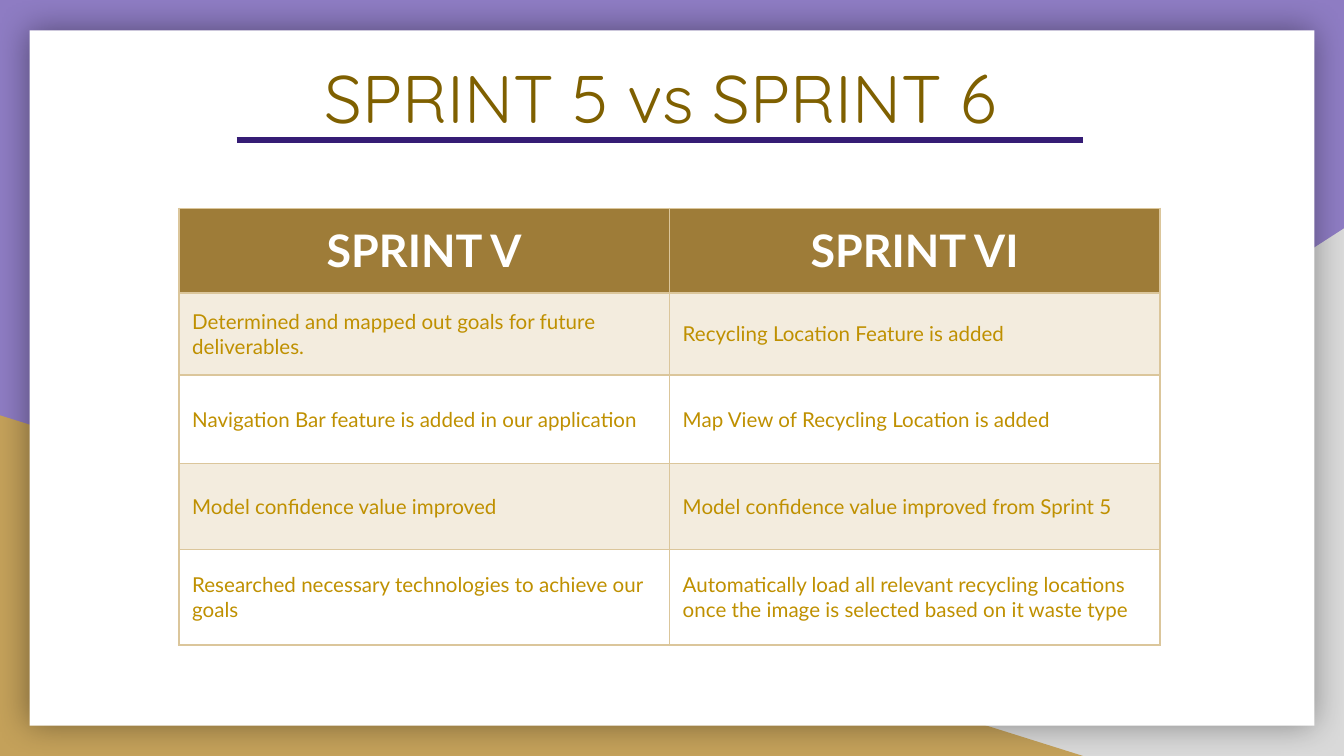
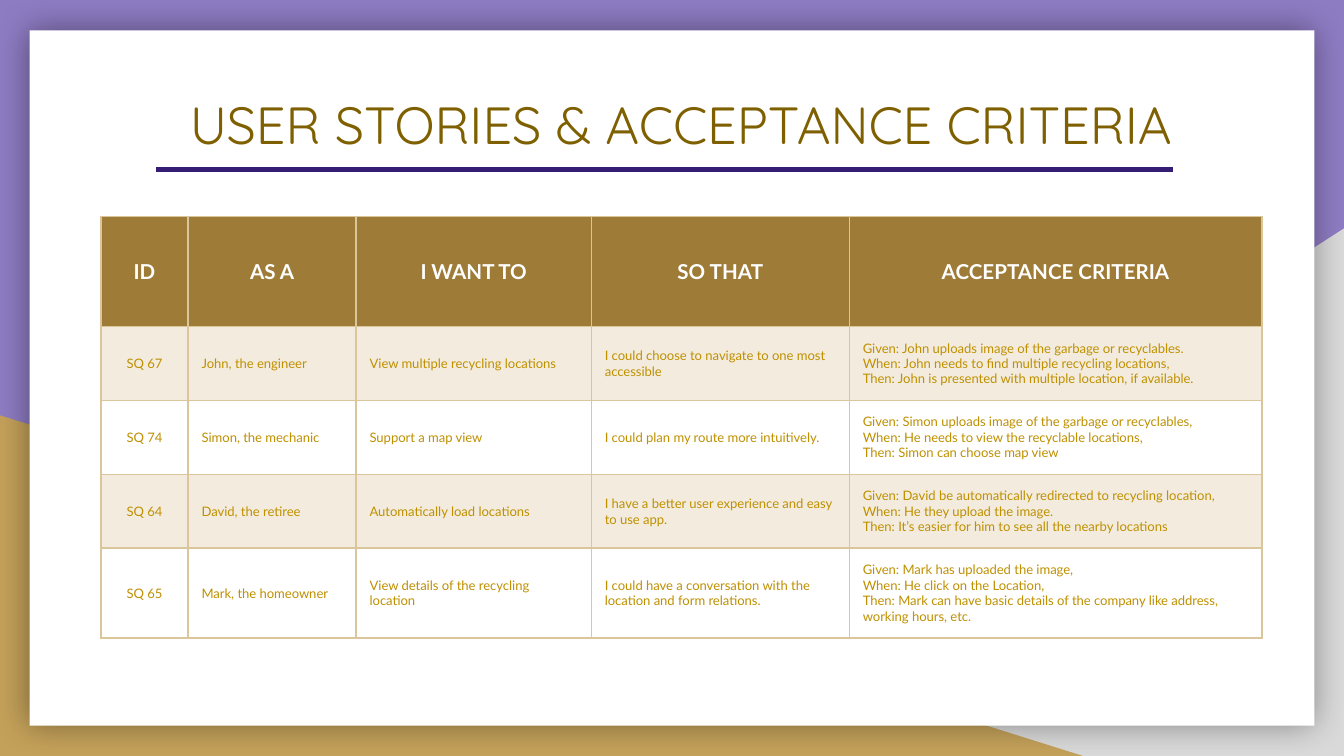
from dataclasses import dataclass

from lxml.etree import SubElement
from pptx import Presentation
from pptx.dml.color import RGBColor
from pptx.enum.shapes import MSO_CONNECTOR as Connector, MSO_SHAPE as Shape
from pptx.enum.text import MSO_ANCHOR as Anchor, PP_ALIGN as Align
from pptx.oxml.ns import qn
from pptx.util import Inches, Pt

UNIT = Inches(0.1)


@dataclass(frozen=True)
class Theme:
    backdrop: str = "8E7CC3"
    grey: str = "D9D9D9"
    gold: str = "C4A15A"
    paper: str = "FFFFFF"
    shadow: str = "000000"
    title: str = "7F6000"
    rule: str = "351C75"
    header: str = "9E7C38"
    header_text: str = "FFFFFF"
    body_text: str = "BF9000"
    border: str = "DBC69B"
    band_alpha: int = 20
    shadow_alpha: int = 40
    shadow_blur: int = 18
    title_font: str = "Quicksand"
    table_font: str = "Lato"
    title_large: int = 36
    title_small: int = 28
    header_large: int = 24
    header_small: int = 11
    body_large: int = 11
    body_small: int = 7
    rule_width: int = 3
    border_width: int = 1


THEME = Theme()


@dataclass(frozen=True)
class Box:
    left: float
    top: float
    width: float
    height: float

    def inner(self, left, top, width, height):
        return Box(self.left + left, self.top + top, width, height)

    def emu(self):
        return [round(length * UNIT) for length in (self.left, self.top, self.width, self.height)]


PAGE = Box(0, 0, 100, 56.25)


def rgb(color):
    return RGBColor.from_string(color)


def add_color(parent, color, alpha=None):
    element = SubElement(parent, qn("a:srgbClr"), val=color)
    if alpha is not None:
        SubElement(element, qn("a:alpha"), val=str(alpha * 1000))


def add_panel(slide, kind, box, color):
    shape = slide.shapes.add_shape(kind, *box.emu())
    shape.shadow.inherit = False
    shape.fill.solid()
    shape.fill.fore_color.rgb = rgb(color)
    shape.line.fill.background()
    return shape


def add_backdrop(slide, box):
    slide.background.fill.solid()
    slide.background.fill.fore_color.rgb = rgb(THEME.backdrop)
    right_corner = add_panel(slide, Shape.RIGHT_TRIANGLE, box.inner(39.2, 17, 60.8, 39.25), THEME.grey)
    right_corner.element.spPr.get_or_add_xfrm().set("flipH", "1")
    add_panel(slide, Shape.RIGHT_TRIANGLE, box.inner(0, 30.9, 80.6, 25.35), THEME.gold)
    paper = add_panel(slide, Shape.RECTANGLE, box.inner(2.2, 2.25, 95.6, 51.75), THEME.paper)
    effects = paper.element.spPr.find(qn("a:effectLst"))
    shadow = SubElement(effects, qn("a:outerShdw"), blurRad=str(Pt(THEME.shadow_blur)),
                        dist="0", dir="0", algn="ctr", rotWithShape="0")
    add_color(shadow, THEME.shadow, THEME.shadow_alpha)


def style_paragraph(paragraph, font_name, size, color, bold=False, align=Align.LEFT):
    paragraph.alignment = align
    paragraph.font.name = font_name
    paragraph.font.size = Pt(size)
    paragraph.font.bold = bold
    paragraph.font.color.rgb = rgb(color)


def set_margins(target, across, down):
    target.margin_left = target.margin_right = Inches(across)
    target.margin_top = target.margin_bottom = Inches(down)


def add_title(slide, box, text, size, rule):
    frame = slide.shapes.add_textbox(*box.emu()).text_frame
    frame.word_wrap = True
    set_margins(frame, 0.1, 0.1)
    frame.text = text
    style_paragraph(frame.paragraphs[0], THEME.title_font, size, THEME.title, align=Align.CENTER)
    left, top, width, _ = box.inner(*rule, 0).emu()
    line = slide.shapes.add_connector(Connector.STRAIGHT, left, top, left + width, top)
    line.line.color.rgb = rgb(THEME.rule)
    line.line.width = Pt(THEME.rule_width)
    SubElement(line.element.spPr, qn("a:effectLst"))


def add_borders(cell):
    properties = cell._tc.get_or_add_tcPr()
    for side in "LRTB":
        border = SubElement(properties, qn(f"a:ln{side}"), w=str(Pt(THEME.border_width)))
        add_color(SubElement(border, qn("a:solidFill")), THEME.border)


def fill_cell(cell, row):
    if row and row % 2 == 0:
        cell.fill.background()
        return
    cell.fill.solid()
    cell.fill.fore_color.rgb = rgb(THEME.gold if row else THEME.header)
    if row:
        color = cell._tc.tcPr.find(qn("a:solidFill")).find(qn("a:srgbClr"))
        SubElement(color, qn("a:alpha"), val=str(THEME.band_alpha * 1000))


def add_grid(slide, box, widths, heights, rows, sizes, margins, centred=()):
    table = slide.shapes.add_table(len(rows), len(widths), *box.emu()).table
    table.first_row = table.horz_banding = False
    for column, width in zip(table.columns, widths):
        column.width = round(width * UNIT)
    for table_row, height in zip(table.rows, heights):
        table_row.height = round(height * UNIT)
    for row, texts in enumerate(rows):
        header = row == 0
        for column, text in enumerate(texts):
            cell = table.cell(row, column)
            add_borders(cell)
            fill_cell(cell, row)
            set_margins(cell, *margins[not header])
            cell.vertical_anchor = Anchor.MIDDLE
            cell.text = text
            color = THEME.header_text if header else THEME.body_text
            align = Align.CENTER if header or column in centred else Align.LEFT
            for paragraph in cell.text_frame.paragraphs:
                style_paragraph(paragraph, THEME.table_font, sizes[not header], color, header, align)


def add_sprint_slide(slide, box):
    add_backdrop(slide, box)
    add_title(slide, box.inner(8.1, 3.2, 82.1, 10.4), "SPRINT 5 vs SPRINT 6",
              THEME.title_large, rule=(9.5, 7.2, 63))
    rows = [
        ("SPRINT V", "SPRINT VI"),
        ("Determined and mapped out goals for future deliverables.",
         "Recycling Location Feature is added"),
        ("Navigation Bar feature is added in our application",
         "Map View of Recycling Location is added"),
        ("Model confidence value improved",
         "Model confidence value improved from Sprint 5"),
        ("Researched necessary technologies to achieve our goals",
         "Automatically load all relevant recycling locations once the image is selected "
         "based on it waste type"),
    ]
    add_grid(slide, box.inner(13.3, 15.5, 73, 32.5), [36.5] * 2, [6.3, 6.1, 6.6, 6.4, 7.1], rows,
             sizes=(THEME.header_large, THEME.body_large), margins=((0.07, 0.03), (0.1, 0.05)))


def add_story_slide(slide, box):
    add_backdrop(slide, box)
    add_title(slide, box.inner(9.6, 5.9, 82.1, 10.4), "USER STORIES & ACCEPTANCE CRITERIA",
              THEME.title_small, rule=(2, 6.7, 75.7))
    rows = [
        ("ID", "AS A", "I WANT TO", "SO THAT", "ACCEPTANCE CRITERIA"),
        ("SQ 67", "John, the engineer", "View multiple recycling locations",
         "I could choose to navigate to one most accessible",
         "Given: John uploads image of the garbage or recyclables.\n"
         "When: John needs to find multiple recycling locations,\n"
         "Then: John is presented with multiple location, if available."),
        ("SQ 74", "Simon, the mechanic", "Support a map view",
         "I could plan my route more intuitively.",
         "Given: Simon uploads image of the garbage or recyclables,\n"
         "When: He needs to view the recyclable locations,\n"
         "Then: Simon can choose map view"),
        ("SQ 64", "David, the retiree", "Automatically load locations",
         "I have a better user experience and easy to use app.",
         "Given: David be automatically redirected to recycling location,\n"
         "When: He they upload the image.\n"
         "Then: It’s easier for him to see all the nearby locations"),
        ("SQ 65", "Mark, the homeowner", "View details of the recycling location",
         "I could have a conversation with the location and form relations.",
         "Given: Mark has uploaded the image,\n"
         "When: He click on the Location,\n"
         "Then: Mark can have basic details of the company like address, working hours, etc."),
    ]
    add_grid(slide, box.inner(7.5, 16.1, 86.4, 30.2), [6.5, 12.5, 17.5, 19.2, 30.7],
             [8.2] + [5.5] * 4, rows, sizes=(THEME.header_small, THEME.body_small),
             margins=((0.1, 0.1), (0.1, 0.1)), centred=(0,))


def main():
    presentation = Presentation()
    _, _, presentation.slide_width, presentation.slide_height = PAGE.emu()
    blank = presentation.slide_layouts[6]
    for build in (add_sprint_slide, add_story_slide):
        build(presentation.slides.add_slide(blank), PAGE)
    presentation.save("out.pptx")


if __name__ == "__main__":
    main()
